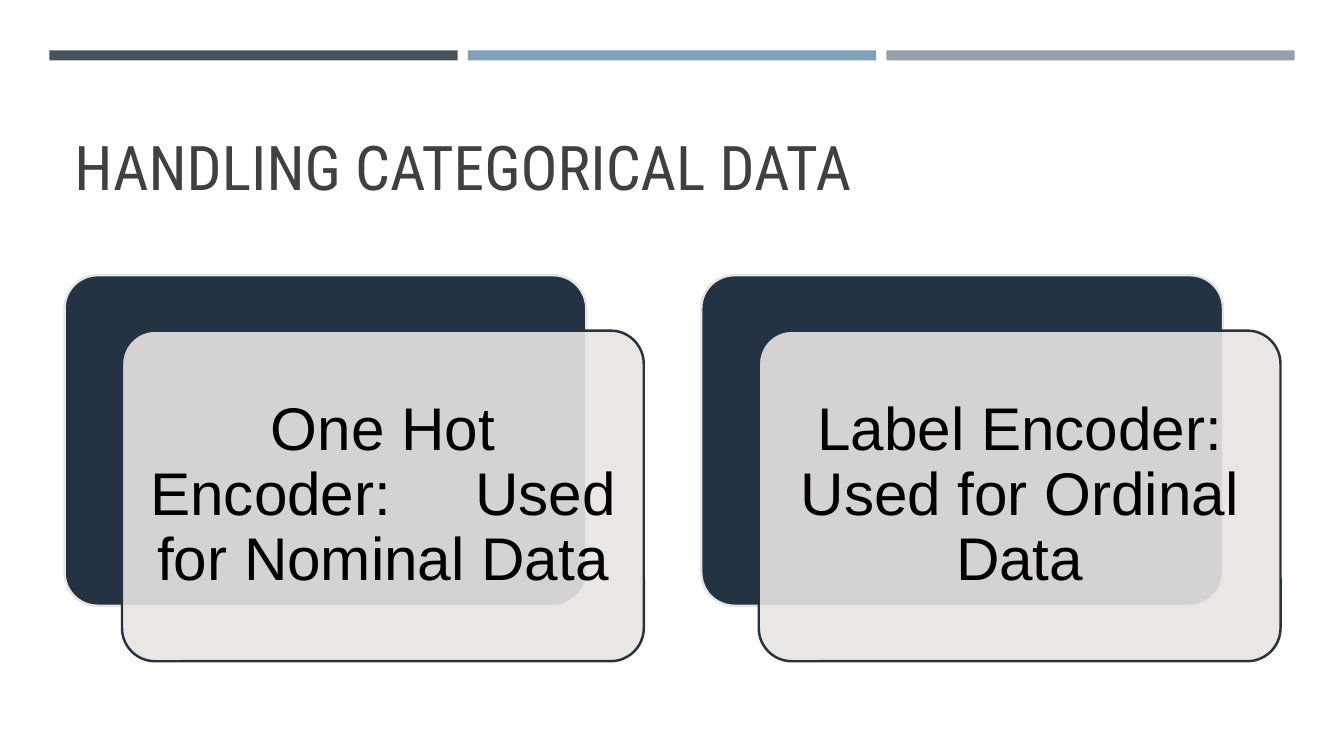
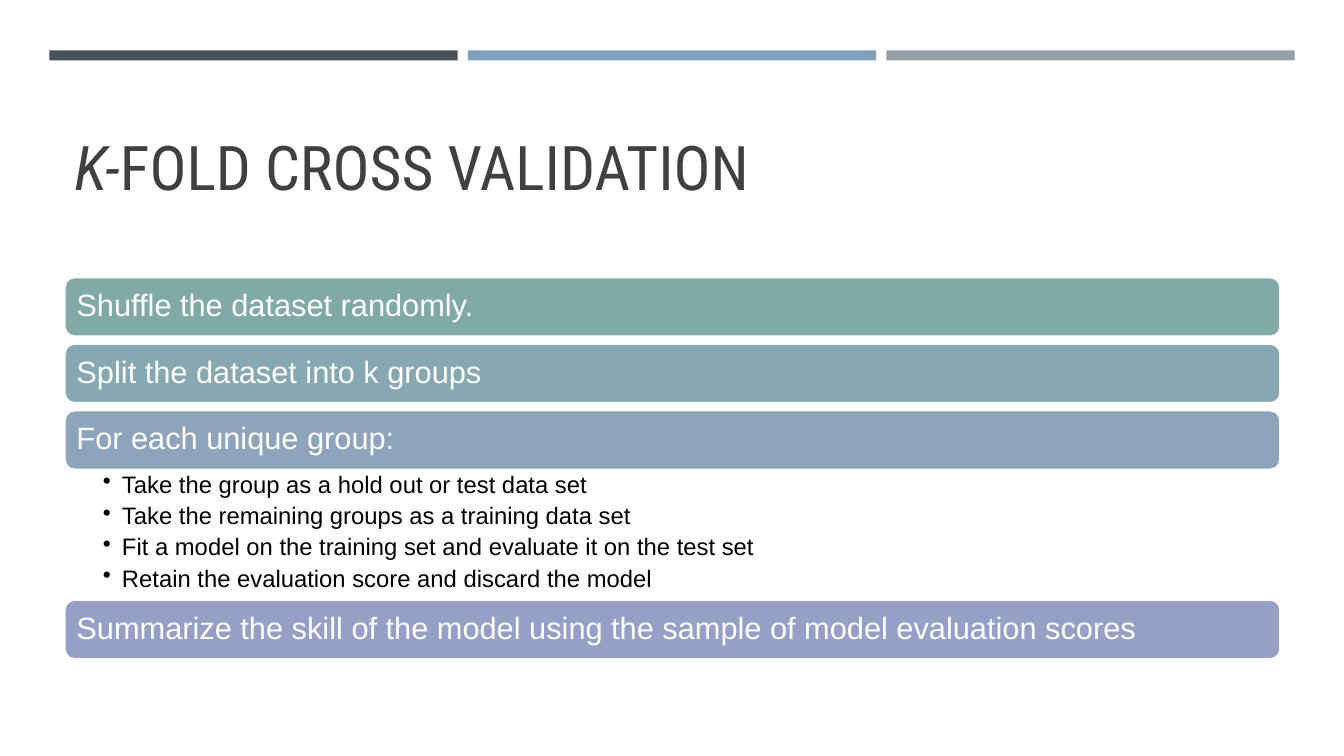
import pptx
import pptx.dml.color
import pptx.enum.shapes
import pptx.enum.text
import pptx.oxml
import pptx.oxml.ns
import pptx.util

SLIDE_W, SLIDE_H = 13.33, 7.5
LEFT, CONTENT_W = 0.64, 12.06
TITLE_FONT, BODY_FONT = "Roboto Condensed", "Arial"
BAND_COLORS = ("465359", "7FA2BA", "969FA7")
TITLE_COLOR, NAVY, SAND = "404040", "243341", "E8E4E2"
BLACK, WHITE = "000000", "FFFFFF"

SHAPES = pptx.enum.shapes.MSO_SHAPE
ANCHOR = pptx.enum.text.MSO_ANCHOR
ALIGN = pptx.enum.text.PP_ALIGN


def rgb(color):
    return pptx.dml.color.RGBColor.from_string(color)


def inches(*lengths):
    return [pptx.util.Inches(length) for length in lengths]


def add_box(slide, kind, box, fill, line=None, radius=None, opacity=None):
    sp = slide.shapes.add_shape(kind, *inches(*box))
    sp.shadow.inherit = False
    sp.fill.solid()
    sp.fill.fore_color.rgb = rgb(fill)
    if line:
        sp.line.color.rgb = rgb(line)
        sp.line.width = pptx.util.Pt(1.75)
    else:
        sp.line.fill.background()
    if radius is not None:
        sp.adjustments[0] = radius
    if opacity is not None:
        color = sp.element.spPr.find(pptx.oxml.ns.qn("a:solidFill"))[0]
        alpha = pptx.oxml.parse_xml(
            f'<a:alpha {pptx.oxml.ns.nsdecls("a")} val="{opacity * 1000}"/>')
        color.append(alpha)
    return sp


def set_frame(sp, margins, anchor):
    """Margins run left, top, right, bottom in inches."""
    tf = sp.text_frame
    tf.word_wrap = True
    tf.vertical_anchor = anchor
    (tf.margin_left, tf.margin_top,
     tf.margin_right, tf.margin_bottom) = inches(*margins)
    return tf


def add_runs(p, runs, size, font, color, align=ALIGN.LEFT):
    """Each run is (text, italic, letter spacing in points)."""
    p.alignment = align
    p.line_spacing = 0.9
    for text, italic, tracking in runs:
        r = p.add_run()
        r.text = text
        r.font.name = font
        r.font.size = pptx.util.Pt(size)
        r.font.italic = italic
        r.font.color.rgb = rgb(color)
        if tracking:
            r.font.element.set("spc", str(tracking * 100)) if hasattr(
                r.font, "element") else r._r.get_or_add_rPr().set(
                "spc", str(tracking * 100))


def plain(text):
    return [(text, False, 0)]


def add_bands(slide, box):
    left, top, width, height = box
    gap = 0.1
    band_w = (width - gap * (len(BAND_COLORS) - 1)) / len(BAND_COLORS)
    for i, color in enumerate(BAND_COLORS):
        band = (left + i * (band_w + gap), top, band_w, height)
        add_box(slide, SHAPES.RECTANGLE, band, color)


def add_title(slide, box, runs):
    sp = slide.shapes.add_textbox(*inches(*box))
    tf = set_frame(sp, (0.1, 0.05, 0.1, 0.05), ANCHOR.BOTTOM)
    add_runs(tf.paragraphs[0], runs, 44, TITLE_FONT, TITLE_COLOR)


def add_titled_slide(prs, title_runs):
    slide = prs.slides.add_slide(prs.slide_layouts[6])
    add_bands(slide, (0.49, 0.5, 12.35, 0.1))
    add_title(slide, (LEFT, 0.77, CONTENT_W, 1.3), title_runs)
    return slide


def add_card(slide, box, runs):
    """A dark card with a translucent one, holding the text, offset over it."""
    left, top, width, height = box
    dx, dy = 0.57, 0.55
    card_w, card_h = width - dx, height - dy
    add_box(slide, SHAPES.ROUNDED_RECTANGLE, (left, top, card_w, card_h),
            NAVY, SAND, 0.1)
    front = add_box(slide, SHAPES.ROUNDED_RECTANGLE,
                    (left + dx, top + dy, card_w, card_h),
                    SAND, NAVY, 0.1, opacity=90)
    tf = set_frame(front, (0.18,) * 4, ANCHOR.MIDDLE)
    add_runs(tf.paragraphs[0], runs, 43, BODY_FONT, BLACK, ALIGN.CENTER)


def add_cards(slide, box, cards):
    left, top, width, height = box
    gap = 0.57
    card_w = (width - gap * (len(cards) - 1)) / len(cards)
    for i, runs in enumerate(cards):
        add_card(slide, (left + i * (card_w + gap), top, card_w, height), runs)


def add_step(slide, box, text, color):
    sp = add_box(slide, SHAPES.ROUNDED_RECTANGLE, box, color, WHITE)
    tf = set_frame(sp, (0.09,) * 4, ANCHOR.MIDDLE)
    add_runs(tf.paragraphs[0], plain(text), 22, BODY_FONT, WHITE)


def add_bullets(slide, box, items):
    sp = slide.shapes.add_textbox(*inches(*box))
    tf = set_frame(sp, (0.38, 0.03, 0.17, 0.03), ANCHOR.TOP)
    for i, text in enumerate(items):
        p = tf.add_paragraph() if i else tf.paragraphs[0]
        add_runs(p, plain(text), 17, BODY_FONT, BLACK)
        p.space_after = pptx.util.Pt(4)
        pPr = p._p.get_or_add_pPr()
        indent = pptx.util.Inches(0.19)
        pPr.set("marL", str(indent))
        pPr.set("indent", str(-indent))
        pPr.append(pptx.oxml.parse_xml(
            f'<a:buChar {pptx.oxml.ns.nsdecls("a")} char="•"/>'))


def add_steps(slide, box, steps):
    """Stack the steps; a step's bullets take the place of the gap below it."""
    left, top, width, height = box
    step_h, gap, bullets_h = 0.59, 0.07, 1.29
    for text, color, bullets in steps:
        add_step(slide, (left, top, width, step_h), text, color)
        top += step_h
        if bullets:
            add_bullets(slide, (left, top, width, bullets_h), bullets)
            top += bullets_h
        else:
            top += gap


def build_categorical(prs):
    slide = add_titled_slide(prs, plain("HANDLING CATEGORICAL DATA"))
    one_hot = [("One Hot Encoder:", False, 0), (" ", False, 48),
               ("Used for Nominal Data", False, 0)]
    label = plain("Label Encoder: Used for Ordinal Data")
    add_cards(slide, (LEFT, 2.73, CONTENT_W, 3.83), [one_hot, label])


def build_cross_validation(prs):
    slide = add_titled_slide(
        prs, [("K-", True, 0), ("FOLD CROSS VALIDATION", False, 0)])
    group_tasks = [
        "Take the group as a hold out or test data set",
        "Take the remaining groups as a training data set",
        "Fit a model on the training set and evaluate it on the test set",
        "Retain the evaluation score and discard the model",
    ]
    steps = [
        ("Shuffle the dataset randomly.", "80A9A8", []),
        ("Split the dataset into k groups", "87A8B3", []),
        ("For each unique group:", "8EA4BD", group_tasks),
        ("Summarize the skill of the model using the sample of model "
         "evaluation scores", "969FC6", []),
    ]
    add_steps(slide, (LEFT, 2.75, CONTENT_W, 3.79), steps)


def main():
    prs = pptx.Presentation()
    prs.slide_width, prs.slide_height = inches(SLIDE_W, SLIDE_H)
    build_categorical(prs)
    build_cross_validation(prs)
    prs.save("out.pptx")


if __name__ == "__main__":
    main()
